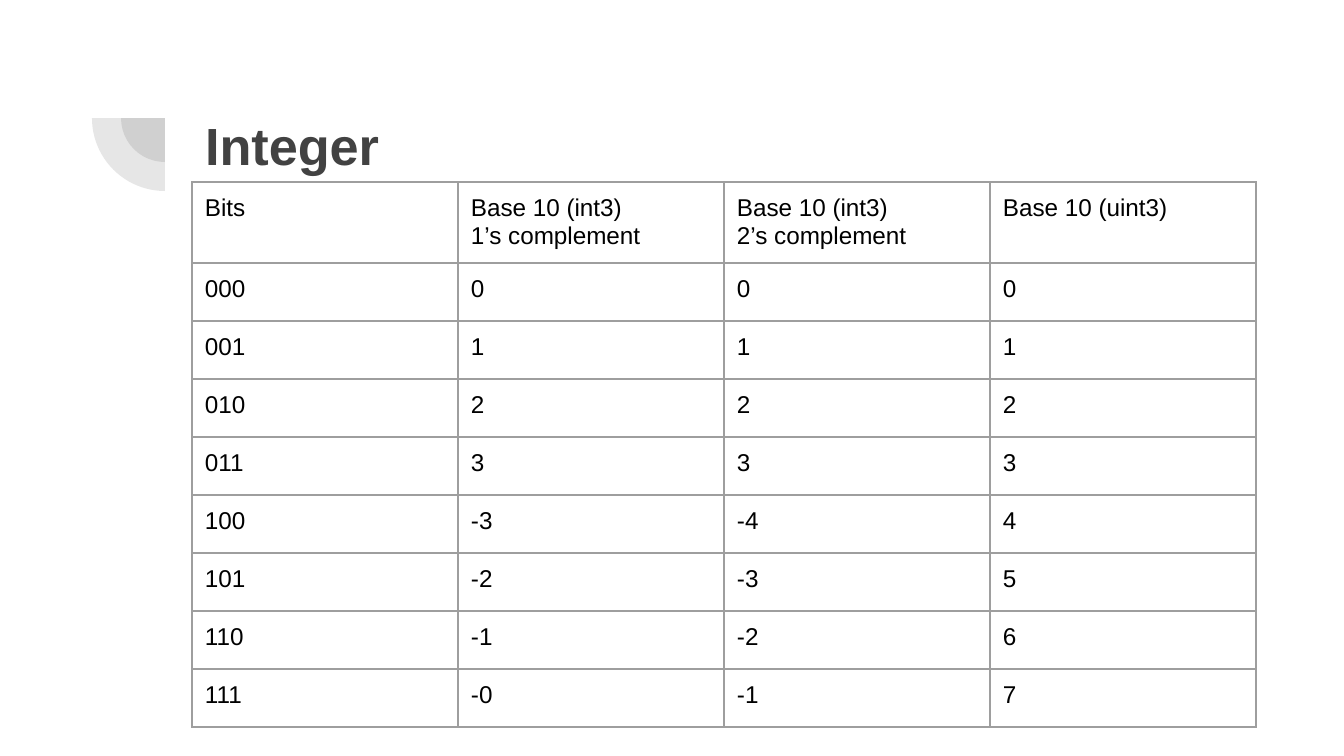
from lxml.etree import SubElement
from pptx import Presentation
from pptx.dml.color import RGBColor
from pptx.enum.shapes import MSO_SHAPE
from pptx.enum.text import MSO_ANCHOR, MSO_AUTO_SIZE, PP_ALIGN
from pptx.oxml.ns import qn
from pptx.util import Pt

EMU_PER_PX = 914400 / 134.4

DARK_GRAY = RGBColor(0x42, 0x42, 0x42)
BLACK = RGBColor(0x00, 0x00, 0x00)
BORDER_GRAY = RGBColor(0x9E, 0x9E, 0x9E)

TITLE_FONT = {"name": "Arial", "size": Pt(28), "bold": True}
CELL_FONT = {"name": "Arial", "size": Pt(13), "bold": False}

HEADER = ["Bits", "Base 10 (int3)\n1’s complement",
          "Base 10 (int3)\n2’s complement", "Base 10 (uint3)"]
BIT_COUNT = 3
COLUMN_WIDTH, HEADER_HEIGHT, ROW_HEIGHT = 266, 81, 58


def px(length):
    return round(length * EMU_PER_PX)


def set_attributes(target, values):
    for name, value in values.items():
        setattr(target, name, value)


def format_text(text_frame, font_values, color):
    for paragraph in text_frame.paragraphs:
        paragraph.alignment = PP_ALIGN.LEFT
        for run in paragraph.runs:
            set_attributes(run.font, font_values)
            run.font.color.rgb = color


def add_quarter_disc(slide, center_x, center_y, radius):
    shape = slide.shapes.add_shape(
        MSO_SHAPE.PIE, px(center_x - radius), px(center_y - radius),
        px(2 * radius), px(2 * radius))
    # Angles from 180 to 270 degrees, turned to the lower left
    shape.adjustments[0] = 108
    shape.adjustments[1] = 162
    shape.rotation = 270
    shape.shadow.inherit = False
    shape.line.fill.background()
    shape.fill.solid()
    shape.fill.fore_color.rgb = DARK_GRAY
    color = shape.element.spPr.find(f"{qn('a:solidFill')}/{qn('a:srgbClr')}")
    SubElement(color, qn("a:alpha"), val="13000")


def fill_title(slide, text):
    title = slide.shapes.title
    set_attributes(title, {"left": px(192), "top": px(95),
                           "width": px(1034), "height": px(146)})
    title.text_frame.text = text
    set_attributes(title.text_frame, {
        "auto_size": MSO_AUTO_SIZE.NONE, "vertical_anchor": MSO_ANCHOR.TOP,
        "margin_left": px(13), "margin_right": px(13),
        "margin_top": px(18), "margin_bottom": px(13)})
    format_text(title.text_frame, TITLE_FONT, DARK_GRAY)
    # Keep the title in front of the decoration
    title.element.getparent().append(title.element)


def add_cell_borders(cell):
    properties = cell._tc.get_or_add_tcPr()
    for side in ("a:lnL", "a:lnR", "a:lnT", "a:lnB"):
        line = SubElement(properties, qn(side), w=str(Pt(0.75)))
        fill = SubElement(line, qn("a:solidFill"))
        SubElement(fill, qn("a:srgbClr"), val=str(BORDER_GRAY))


def format_cell(cell, text):
    cell.text = text
    margins = {f"margin_{side}": px(13)
               for side in ("left", "right", "top", "bottom")}
    set_attributes(cell, margins)
    cell.vertical_anchor = MSO_ANCHOR.TOP
    format_text(cell.text_frame, CELL_FONT, BLACK)
    add_cell_borders(cell)
    cell.fill.background()


def integer_rows():
    """Each bit pattern read as one's complement, two's complement, unsigned."""
    size = 2 ** BIT_COUNT
    for value in range(size):
        negative = value >= size // 2
        ones = f"-{size - 1 - value}" if negative else str(value)
        twos = str(value - size) if negative else str(value)
        yield [f"{value:0{BIT_COUNT}b}", ones, twos, str(value)]


def add_integer_table(slide, left, top):
    rows = [HEADER, *integer_rows()]
    heights = [HEADER_HEIGHT] + [ROW_HEIGHT] * (len(rows) - 1)
    table = slide.shapes.add_table(
        len(rows), len(HEADER), px(left), px(top),
        px(COLUMN_WIDTH * len(HEADER)), px(sum(heights))).table
    set_attributes(table, {"first_row": False, "horz_banding": False})
    for column in table.columns:
        column.width = px(COLUMN_WIDTH)
    for row, height, texts in zip(table.rows, heights, rows):
        row.height = px(height)
        for cell, text in zip(row.cells, texts):
            format_cell(cell, text)


def main():
    presentation = Presentation()
    presentation.slide_width = px(1344)
    presentation.slide_height = px(756)
    slide = presentation.slides.add_slide(presentation.slide_layouts[5])

    # Corner decoration
    for radius in (44, 73):
        add_quarter_disc(slide, 165, 118, radius)

    # Title and table
    fill_title(slide, "Integer")
    add_integer_table(slide, 192, 182)

    presentation.save("out.pptx")


if __name__ == "__main__":
    main()
